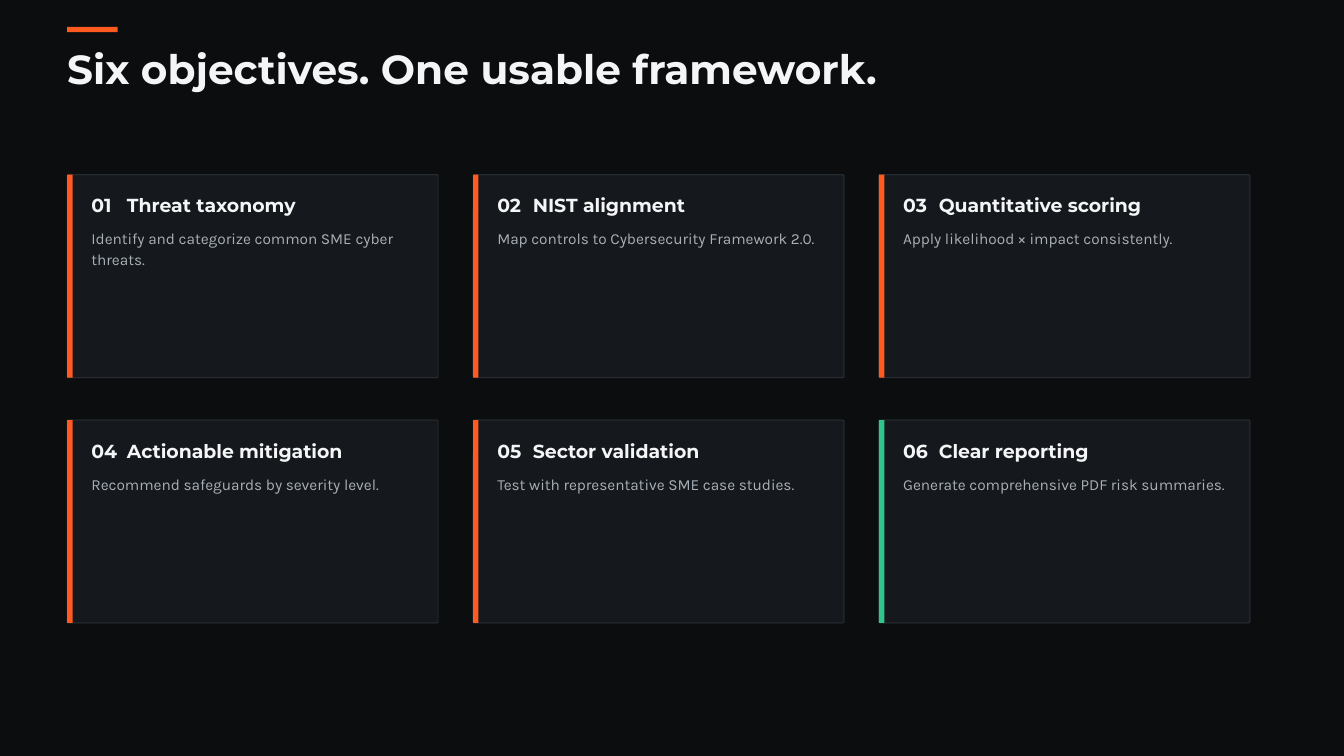
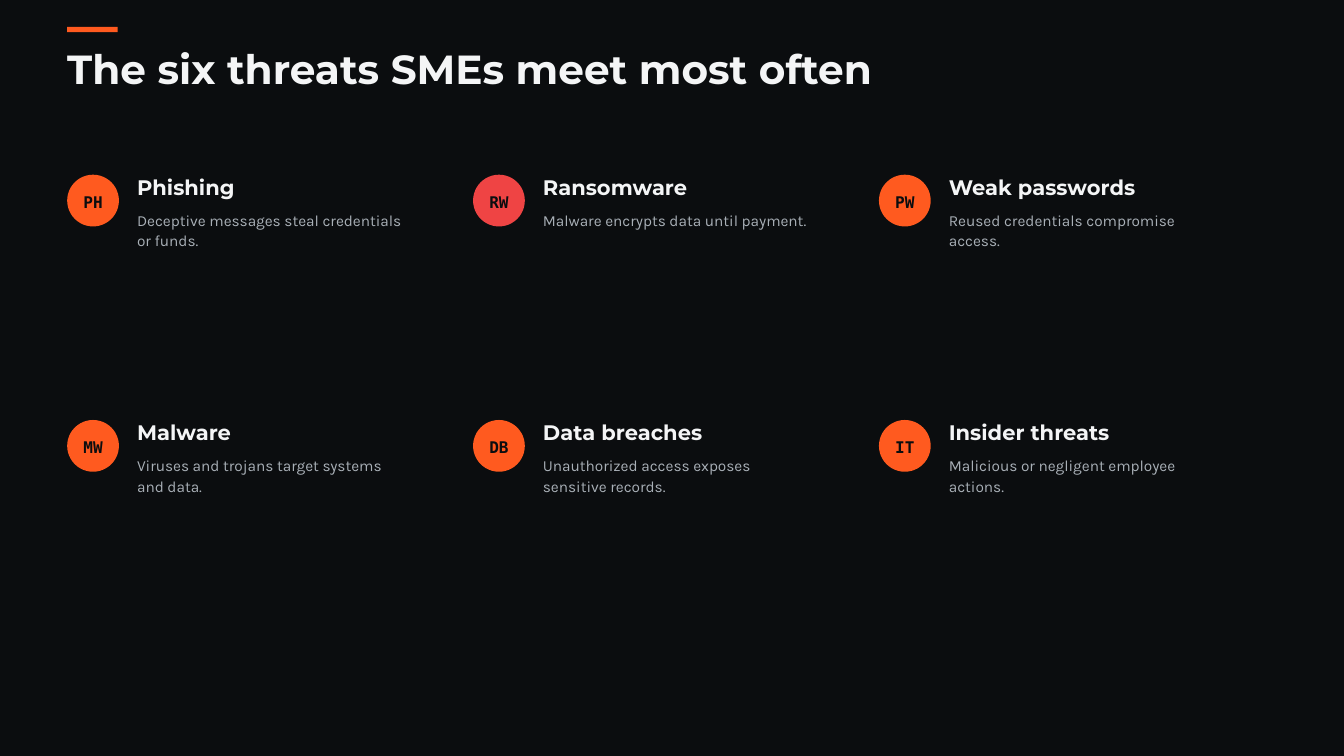
from dataclasses import dataclass

from lxml.etree import SubElement
from pptx import Presentation
from pptx.dml.color import RGBColor
from pptx.enum.shapes import MSO_SHAPE
from pptx.enum.text import MSO_ANCHOR, MSO_AUTO_SIZE, PP_ALIGN
from pptx.oxml.ns import qn
from pptx.shapes.autoshape import Shape
from pptx.shapes.shapetree import GroupShapes, SlideShapes
from pptx.slide import Slide
from pptx.text.text import TextFrame
from pptx.util import Inches, Length, Pt


@dataclass(frozen=True)
class TextStyle:
    font: str
    size: float
    leading: float
    color: RGBColor
    bold: bool = False


@dataclass(frozen=True)
class Theme:
    background: RGBColor
    panel: RGBColor
    outline: RGBColor
    accent: RGBColor
    danger: RGBColor
    success: RGBColor
    title: TextStyle
    objective: TextStyle
    threat: TextStyle
    description: TextStyle
    badge: TextStyle


INK = RGBColor.from_string("0B0D0F")
WHITE = RGBColor.from_string("F4F5F6")
GRAY = RGBColor.from_string("A9B0B7")

THEME = Theme(
    background=INK,
    panel=RGBColor.from_string("15191D"),
    outline=RGBColor.from_string("343A40"),
    accent=RGBColor.from_string("FF5A1F"),
    danger=RGBColor.from_string("EF4444"),
    success=RGBColor.from_string("31C48D"),
    title=TextStyle("Montserrat", 43.5, 47, WHITE, True),
    objective=TextStyle("Montserrat", 20.2, 23.3, WHITE, True),
    threat=TextStyle("Montserrat", 22.5, 25.9, WHITE, True),
    description=TextStyle("Karla", 16.5, 22.3, GRAY),
    badge=TextStyle("DejaVu Sans Mono", 17.2, 24.1, INK, True),
)

LEFT = Inches(1)
GRID_TOP = Inches(2.6)
COLUMN_PITCH = Inches(6.04)
ROW_PITCH = Inches(3.65)
COLUMNS = 3
CARD_WIDTH = Inches(5.52)
CARD_HEIGHT = Inches(3.02)
STRIPE = Inches(0.08)
CORNER = Inches(0.02)
BADGE_SIZE = Inches(0.77)
NUMBER_TAB = Inches(0.53)
DESCRIPTION_LINE = Inches(0.295)


@dataclass(frozen=True)
class Objective:
    number: str
    heading: str
    description: str
    lines: int = 1
    color: RGBColor = THEME.accent


@dataclass(frozen=True)
class Threat:
    code: str
    heading: str
    description: str
    lines: int = 2
    color: RGBColor = THEME.accent


OBJECTIVES = [
    Objective("01", "Threat taxonomy", "Identify and categorize common SME cyber threats.", lines=2),
    Objective("02", "NIST alignment", "Map controls to Cybersecurity Framework 2.0."),
    Objective("03", "Quantitative scoring", "Apply likelihood × impact consistently."),
    Objective("04", "Actionable mitigation", "Recommend safeguards by severity level."),
    Objective("05", "Sector validation", "Test with representative SME case studies."),
    Objective("06", "Clear reporting", "Generate comprehensive PDF risk summaries.", color=THEME.success),
]

THREATS = [
    Threat("PH", "Phishing", "Deceptive messages steal credentials or funds."),
    Threat("RW", "Ransomware", "Malware encrypts data until payment.", lines=1, color=THEME.danger),
    Threat("PW", "Weak passwords", "Reused credentials compromise access."),
    Threat("MW", "Malware", "Viruses and trojans target systems and data."),
    Threat("DB", "Data breaches", "Unauthorized access exposes sensitive records."),
    Threat("IT", "Insider threats", "Malicious or negligent employee actions."),
]


def write(frame: TextFrame, text: str, style: TextStyle, margin: Length = Inches(0)) -> None:
    frame.margin_left = frame.margin_right = margin
    frame.margin_top = frame.margin_bottom = margin
    frame.word_wrap = True
    paragraph = frame.paragraphs[0]
    paragraph.text = text
    paragraph.line_spacing = Pt(style.leading)
    for run in paragraph.runs:
        run.font.name = style.font
        run.font.size = Pt(style.size)
        run.font.bold = style.bold
        run.font.color.rgb = style.color


def add_label(shapes: SlideShapes | GroupShapes, left: Length, top: Length, width: Length,
              height: Length, text: str, style: TextStyle) -> TextFrame:
    frame = shapes.add_textbox(left, top, width, height).text_frame
    write(frame, text, style)
    frame.auto_size = MSO_AUTO_SIZE.SHAPE_TO_FIT_TEXT
    return frame


def add_filled(shapes: SlideShapes | GroupShapes, kind: MSO_SHAPE, left: Length, top: Length,
               width: Length, height: Length, color: RGBColor) -> Shape:
    shape = shapes.add_shape(kind, left, top, width, height)
    shape.shadow.inherit = False
    shape.fill.solid()
    shape.fill.fore_color.rgb = color
    shape.line.fill.background()
    return shape


def add_number_tab(frame: TextFrame) -> None:
    properties = frame.paragraphs[0]._p.get_or_add_pPr()
    tabs = SubElement(properties, qn("a:tabLst"))
    SubElement(tabs, qn("a:tab"), pos=str(NUMBER_TAB), algn="l")


def grid_position(index: int) -> tuple[Length, Length]:
    row, column = divmod(index, COLUMNS)
    return Length(LEFT + column * COLUMN_PITCH), Length(GRID_TOP + row * ROW_PITCH)


def draw_objective(slide: Slide, index: int, objective: Objective) -> None:
    left, top = grid_position(index)
    shapes = slide.shapes.add_group_shape().shapes
    card = add_filled(shapes, MSO_SHAPE.ROUNDED_RECTANGLE, left, top, CARD_WIDTH, CARD_HEIGHT, THEME.panel)
    card.adjustments[0] = CORNER / CARD_HEIGHT
    card.line.color.rgb = THEME.outline
    card.line.width = Pt(0.75)
    add_filled(shapes, MSO_SHAPE.RECTANGLE, left, top, STRIPE, CARD_HEIGHT, objective.color)
    text_left = left + Inches(0.36)
    text_width = Inches(4.88)
    heading = add_label(shapes, text_left, top + Inches(0.3), text_width, Inches(0.33),
                        f"{objective.number}\t{objective.heading}", THEME.objective)
    add_number_tab(heading)
    add_label(shapes, text_left, top + Inches(0.78), text_width, objective.lines * DESCRIPTION_LINE,
              objective.description, THEME.description)


def draw_threat(slide: Slide, index: int, threat: Threat) -> None:
    left, top = grid_position(index)
    shapes = slide.shapes.add_group_shape().shapes
    badge = add_filled(shapes, MSO_SHAPE.OVAL, left, top, BADGE_SIZE, BADGE_SIZE, threat.color)
    write(badge.text_frame, threat.code, THEME.badge, Inches(0.06))
    badge.text_frame.vertical_anchor = MSO_ANCHOR.MIDDLE
    badge.text_frame.paragraphs[0].alignment = PP_ALIGN.CENTER
    text_left = left + Inches(1.04)
    text_width = Inches(4.06)
    add_label(shapes, text_left, top + Inches(0.01), text_width, Inches(0.36), threat.heading, THEME.threat)
    add_label(shapes, text_left, top + Inches(0.5), text_width, threat.lines * DESCRIPTION_LINE,
              threat.description, THEME.description)


def add_titled_slide(deck: Presentation, title: str) -> Slide:
    slide = deck.slides.add_slide(deck.slide_layouts[6])
    slide.background.fill.solid()
    slide.background.fill.fore_color.rgb = THEME.background
    add_label(slide.shapes, LEFT, Inches(0.73), Inches(15.1), Inches(0.66), title, THEME.title)
    add_filled(slide.shapes, MSO_SHAPE.RECTANGLE, LEFT, Inches(0.4), Inches(0.75), Inches(0.08), THEME.accent)
    return slide


def main() -> None:
    deck = Presentation()
    deck.slide_width = Inches(20)
    deck.slide_height = Inches(11.25)

    objectives_slide = add_titled_slide(deck, "Six objectives. One usable framework.")
    for index, objective in enumerate(OBJECTIVES):
        draw_objective(objectives_slide, index, objective)

    threats_slide = add_titled_slide(deck, "The six threats SMEs meet most often")
    for index, threat in enumerate(THREATS):
        draw_threat(threats_slide, index, threat)

    deck.save("out.pptx")


if __name__ == "__main__":
    main()
